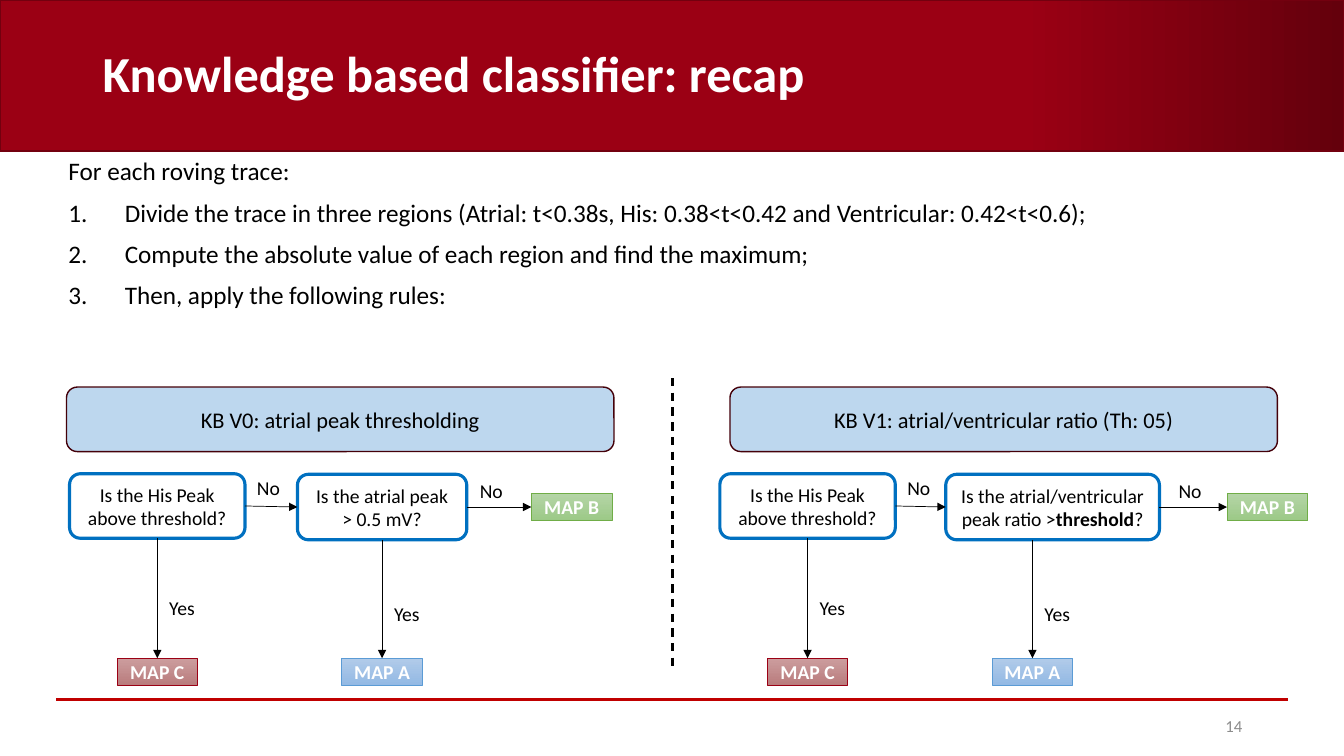
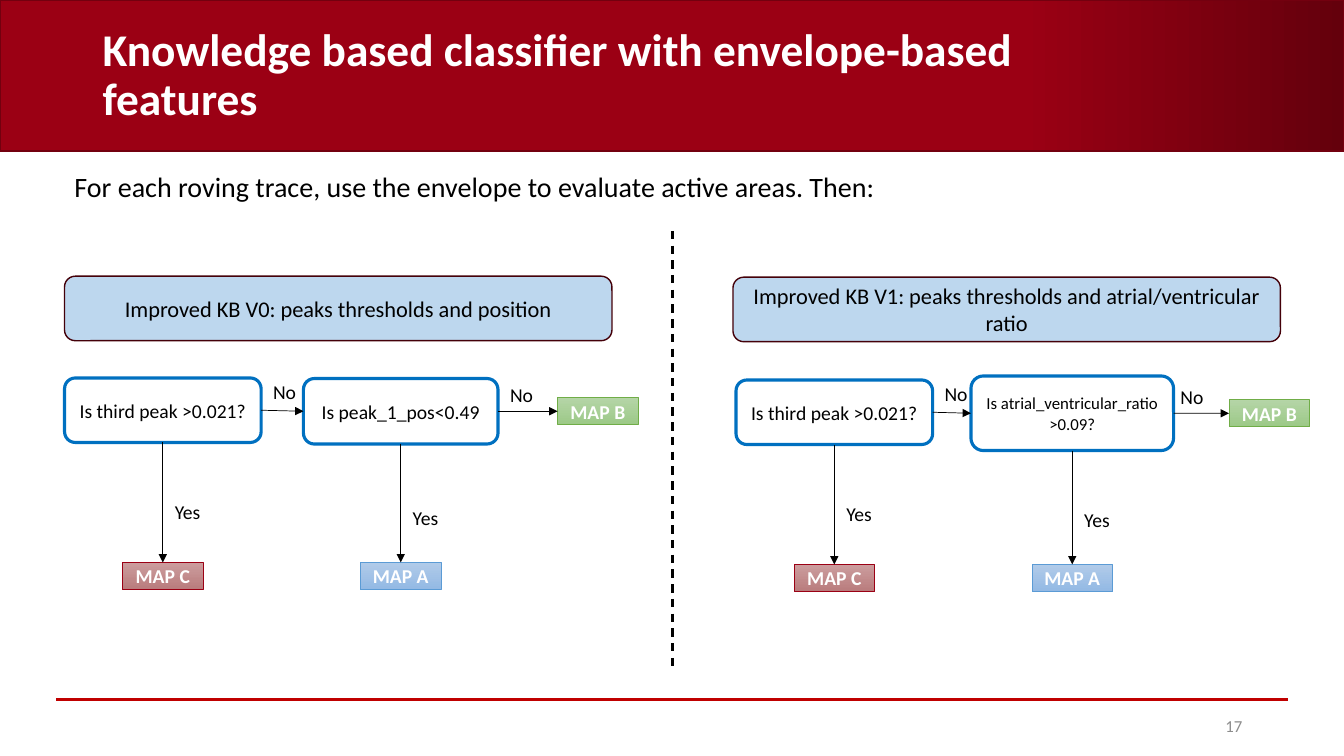
from dataclasses import dataclass

from lxml.etree import SubElement
from pptx import Presentation
from pptx.dml.color import RGBColor
from pptx.enum.dml import MSO_LINE
from pptx.enum.shapes import MSO_CONNECTOR as CONNECTOR, MSO_SHAPE as SHAPE
from pptx.enum.text import MSO_ANCHOR as ANCHOR, PP_ALIGN as ALIGN
from pptx.oxml.ns import qn
from pptx.util import Inches, Pt

FONT = "Calibri"
COLORS = {
    "black": "000000",
    "white": "FFFFFF",
    "band": "9B0014",
    "band_end": "64000C",
    "band_line": "73000F",
    "footer_line": "C00000",
    "page_number": "8C8C8C",
    "header": "BDD7EE",
    "header_line": "440009",
    "question_line": "0070C0",
}
OUTCOMES = {
    "MAP A": ("B1CBE9", "93B9E4", "5B9BD5"),
    "MAP B": ("B5D5A7", "9CC987", "70AD47"),
    "MAP C": ("CC9D9E", "B97C7D", "9B0014"),
}
TOP, LEFT, BOTTOM, RIGHT = range(4)
QUESTION_HEIGHT = 0.64
OUTCOME_WIDTH, OUTCOME_HEIGHT = 0.8, 0.27
ROW_MIDDLE = 0.33
OUTCOME_DROP = 1.83


@dataclass
class Flow:
    top: float
    first_text: str
    first_left: float
    first_width: float
    second_text: str
    second_left: float
    second_width: float
    no_left: float
    map_b_left: float
    second_height: float = 0.65
    second_size: float = 14
    map_a_shift: float = 0


def rgb(value):
    return RGBColor.from_string(value)


def write(box, lines, size, color="black", bold=False, align=ALIGN.LEFT,
          anchor=ANCHOR.MIDDLE):
    frame = box.text_frame
    frame.word_wrap = True
    frame.vertical_anchor = anchor
    frame.text = "\n".join(lines)
    for para in frame.paragraphs:
        para.alignment = align
        plain, *others = para.text.split("*")
        para.text = plain
        for part in others:
            para.add_run().text = part
        for index, span in enumerate(para.runs):
            span.font.name = FONT
            span.font.size = Pt(size)
            span.font.bold = bold or index % 2 == 1
            span.font.color.rgb = rgb(COLORS[color])


def add_text(page, left, top, width, height, lines, size, **style):
    box = page.shapes.add_textbox(
        Inches(left), Inches(top), Inches(width), Inches(height))
    write(box, lines, size, **style)
    return box


def add_box(page, kind, left, top, width, height, line, weight, fill=None):
    box = page.shapes.add_shape(
        kind, Inches(left), Inches(top), Inches(width), Inches(height))
    box.shadow.inherit = False
    box.line.color.rgb = rgb(line)
    box.line.width = Pt(weight)
    if fill:
        box.fill.solid()
        box.fill.fore_color.rgb = rgb(fill)
    else:
        box.fill.background()
    return box


def shade(box, stops, angle):
    box.fill.gradient()
    box.fill.gradient_angle = angle
    for stop, (position, color) in zip(box.fill.gradient_stops, stops):
        stop.position = position
        stop.color.rgb = rgb(color)


def add_line(page, start, end, color, weight):
    line = page.shapes.add_connector(
        CONNECTOR.STRAIGHT, *(Inches(value) for value in (*start, *end)))
    line.line.color.rgb = rgb(COLORS[color])
    line.line.width = Pt(weight)
    SubElement(line._element.spPr, qn("a:effectLst"))
    return line


def add_arrow(page, source, source_side, target, target_side, start=None):
    arrow = add_line(page, start or (0, 0), (0, 0), "black", 0.5)
    if start is None:
        arrow.begin_connect(source, source_side)
    arrow.end_connect(target, target_side)
    head = SubElement(arrow.line._get_or_add_ln(), qn("a:tailEnd"))
    head.set("type", "triangle")


def add_page(deck, title, title_size, number):
    page = deck.slides.add_slide(deck.slide_layouts[6])
    band = add_box(page, SHAPE.RECTANGLE, 0, 0, 13.33, 1.5, COLORS["band_line"], 1)
    shade(band, [(0.76, COLORS["band"]), (1, COLORS["band_end"])], 0)
    add_line(page, (0.56, 6.94), (12.77, 6.94), "footer_line", 1.5)
    heading = add_text(page, 0.92, 0.23, 10.83, 1.06, [title], title_size,
                       color="white", bold=True)
    heading.text_frame.paragraphs[0].line_spacing = 0.9
    add_text(page, 9.42, 7, 3, 0.4, [str(number)], 12,
             color="page_number", align=ALIGN.RIGHT)
    return page


def add_body(page, left, top, height, intro, size, steps=()):
    box = add_text(page, left, top, 11.5, height, [intro, *steps], size,
                   anchor=ANCHOR.TOP)
    for index, para in enumerate(box.text_frame.paragraphs):
        para.line_spacing = 0.9
        para.space_before = Pt(10)
        if index:
            props = para._p.get_or_add_pPr()
            props.set("marL", str(Inches(0.56)))
            props.set("indent", str(Inches(-0.56)))
            SubElement(props, qn("a:buFont")).set("typeface", "+mj-lt")
            SubElement(props, qn("a:buAutoNum")).set("type", "arabicPeriod")


def add_divider(page, top):
    divider = add_line(page, (6.67, top), (6.67, 6.65), "black", 1.5)
    divider.line.dash_style = MSO_LINE.DASH


def add_header(page, left, top, text):
    box = add_box(page, SHAPE.ROUNDED_RECTANGLE, left, top, 5.43, 0.64,
                  COLORS["header_line"], 1, COLORS["header"])
    write(box, [text], 16, align=ALIGN.CENTER)


def add_question(page, left, top, width, height, text, size=14):
    box = add_box(page, SHAPE.ROUNDED_RECTANGLE, left, top, width, height,
                  COLORS["question_line"], 2.25)
    write(box, [text], size, align=ALIGN.CENTER)
    return box


def add_outcome(page, name, left, top):
    light, dark, line = OUTCOMES[name]
    box = add_box(page, SHAPE.RECTANGLE, left, top, OUTCOME_WIDTH,
                  OUTCOME_HEIGHT, line, 0.5)
    shade(box, [(0, light), (1, dark)], 270)
    write(box, [name], 14, color="white", bold=True, align=ALIGN.CENTER)
    return box


def add_label(page, text, left, top):
    add_text(page, left, top, 0.55, 0.34, [text], 14, anchor=ANCHOR.TOP)


def add_flow(page, flow):
    top = flow.top
    middle = top + ROW_MIDDLE
    second_top = middle - flow.second_height / 2
    map_c_center = flow.first_left + flow.first_width / 2
    map_a_center = flow.second_left + flow.second_width / 2 + flow.map_a_shift
    outcome_top = top + OUTCOME_DROP

    first = add_question(page, flow.first_left, top, flow.first_width,
                         QUESTION_HEIGHT, flow.first_text)
    second = add_question(page, flow.second_left, second_top, flow.second_width,
                          flow.second_height, flow.second_text, flow.second_size)
    map_c = add_outcome(page, "MAP C", map_c_center - OUTCOME_WIDTH / 2, outcome_top)
    map_a = add_outcome(page, "MAP A", map_a_center - OUTCOME_WIDTH / 2, outcome_top)
    map_b = add_outcome(page, "MAP B", flow.map_b_left, middle - OUTCOME_HEIGHT / 2)

    off_center = (map_a_center, second_top + flow.second_height)
    add_arrow(page, first, BOTTOM, map_c, TOP)
    add_arrow(page, first, RIGHT, second, LEFT)
    add_arrow(page, second, BOTTOM, map_a, TOP,
              off_center if flow.map_a_shift else None)
    add_arrow(page, second, RIGHT, map_b, LEFT)

    add_label(page, "No", flow.first_left + flow.first_width + 0.02, top - 0.03)
    add_label(page, "No", flow.no_left, top)
    add_label(page, "Yes", map_c_center + 0.02, top + 1.16)
    add_label(page, "Yes", map_a_center + 0.02, top + 1.22)


def add_recap(deck):
    page = add_page(deck, "Knowledge based classifier: recap", 36, 14)
    add_body(page, 0.58, 1.53, 1.7, "For each roving trace:", 18, [
        "Divide the trace in three regions (Atrial: t<0.38s, His: 0.38<t<0.42 "
        "and Ventricular: 0.42<t<0.6);",
        "Compute the absolute value of each region and find the maximum;",
        "Then, apply the following rules:",
    ])
    add_divider(page, 3.75)
    add_header(page, 0.66, 3.84, "KB V0: atrial peak thresholding")
    add_header(page, 7.24, 3.84, "KB V1: atrial/ventricular ratio (Th: 05)")
    his_peak = "Is the His Peak above threshold?"
    add_flow(page, Flow(4.7, his_peak, 0.69, 1.74,
                        "Is the atrial peak > 0.5 mV?", 2.95, 1.68, 4.66, 5.27))
    add_flow(page, Flow(4.7, his_peak, 7.14, 1.74,
                        "Is the atrial/ventricular peak ratio >*threshold*?",
                        9.38, 2.12, 11.59, 12.17, map_a_shift=-0.2))


def add_envelope(deck):
    page = add_page(
        deck, "Knowledge based classifier with envelope-based features", 32.4, 17)
    add_body(page, 0.64, 1.67, 0.42,
             "For each roving trace, use the envelope to evaluate active areas. Then:",
             20)
    add_divider(page, 2.29)
    add_header(page, 0.64, 2.74, "Improved KB V0: peaks thresholds and position")
    add_header(page, 7.27, 2.75,
               "Improved KB V1: peaks thresholds and atrial/ventricular ratio")
    third_peak = "Is third peak >0.021?"
    add_flow(page, Flow(3.75, third_peak, 0.64, 1.95,
                        "Is peak_1_pos<0.49", 3.01, 1.93, 4.96, 5.53))
    add_flow(page, Flow(3.77, third_peak, 7.3, 1.95,
                        "Is atrial_ventricular_ratio >0.09?", 9.63, 2.01,
                        11.61, 12.19, second_height=0.74, second_size=12))


def main():
    deck = Presentation()
    deck.slide_width = Inches(13.33)
    deck.slide_height = Inches(7.5)
    add_recap(deck)
    add_envelope(deck)
    deck.save("out.pptx")


if __name__ == "__main__":
    main()
